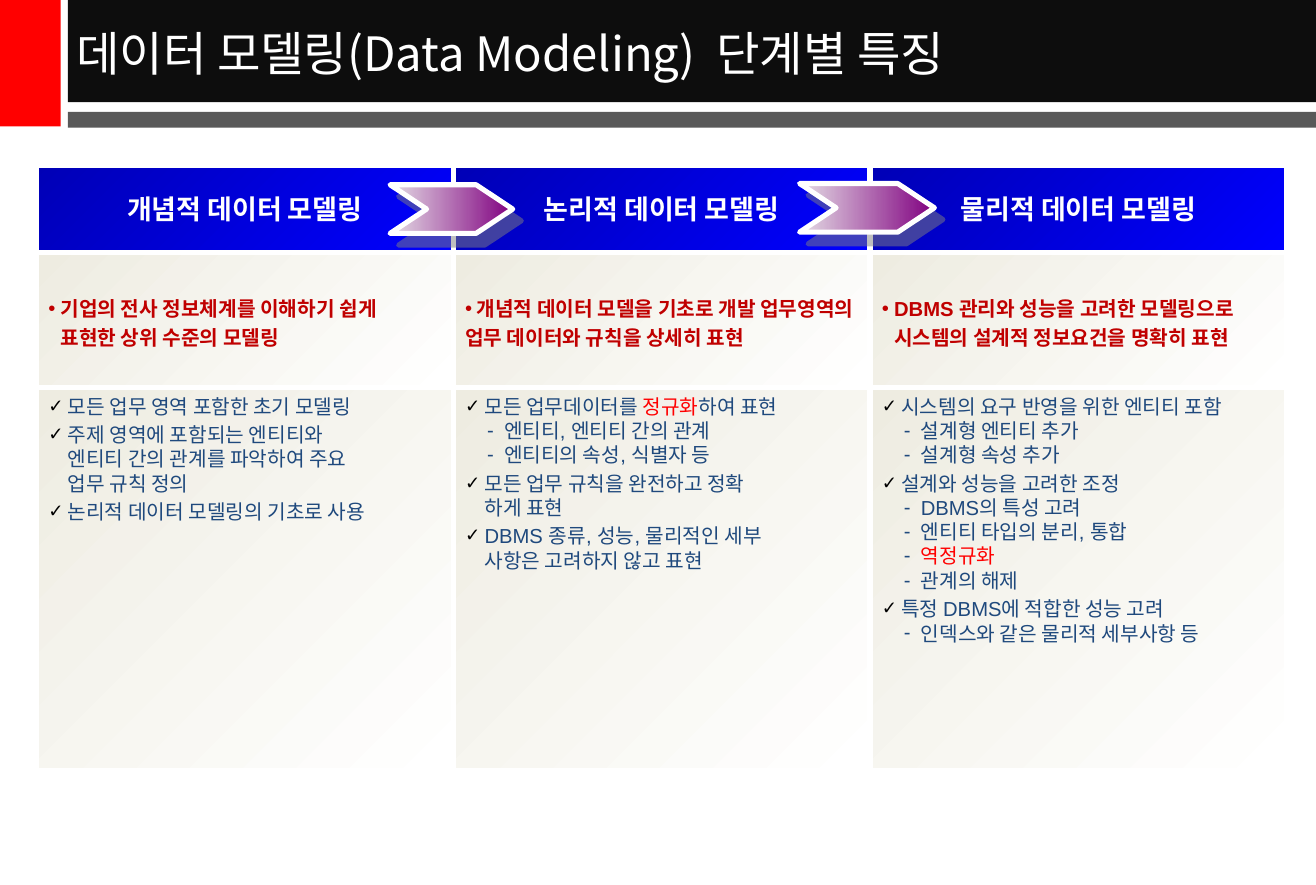
from lxml import etree
from pptx import Presentation
from pptx.dml.color import RGBColor
from pptx.enum.dml import MSO_FILL
from pptx.enum.shapes import MSO_CONNECTOR, MSO_SHAPE
from pptx.enum.text import MSO_ANCHOR, PP_ALIGN
from pptx.oxml.ns import qn
from pptx.util import Inches, Pt

RECTANGLE, CHEVRON = MSO_SHAPE.RECTANGLE, MSO_SHAPE.CHEVRON
STRAIGHT = MSO_CONNECTOR.STRAIGHT
TOP, MIDDLE = MSO_ANCHOR.TOP, MSO_ANCHOR.MIDDLE
LEFT, CENTER = PP_ALIGN.LEFT, PP_ALIGN.CENTER
GRADIENT = MSO_FILL.GRADIENT

WHITE, RED, NAVY, CRIMSON = "FFFFFF", "FF0000", "1F497D", "C00000"
BEIGE_FADE, BLUE_FADE, PURPLE_FADE = ("EEECE1", WHITE), ("0000B6", "0000FF"), ("E5DEE5", "800080")

COLUMN_LEFT, COLUMN_WIDTH = 0.3, 3.43
ROW_EDGES = [1.36, 2.08, 3.19, 6.34]

# Each stage: heading, summary, summary hanging indent, details.
# A detail is a level (0 check mark, 1 dash) and its runs of (text, colour).
STAGES = [
    ("개념적 데이터 모델링",
     "기업의 전사 정보체계를 이해하기 쉽게\n표현한 상위 수준의 모델링", 0.1,
     [(0, [("모든 업무 영역 포함한 초기 모델링", NAVY)]),
      (0, [("주제 영역에 포함되는 엔티티와\n엔티티 간의 관계를 파악하여 주요\n업무 규칙 정의", NAVY)]),
      (0, [("논리적 데이터 모델링의 기초로 사용", NAVY)])]),
    ("논리적 데이터 모델링",
     " 개념적 데이터 모델을 기초로 개발 업무영역의 업무 데이터와 규칙을 상세히 표현", 0,
     [(0, [("모든 업무데이터를 ", NAVY), ("정규화", RED), ("하여 표현", NAVY)]),
      (1, [("엔티티, 엔티티 간의 관계", NAVY)]),
      (1, [("엔티티의 속성, 식별자 등", NAVY)]),
      (0, [("모든 업무 규칙을 완전하고 정확\n하게 표현", NAVY)]),
      (0, [("DBMS 종류, 성능, 물리적인 세부\n사항은 고려하지 않고 표현", NAVY)])]),
    ("물리적 데이터 모델링",
     "DBMS 관리와 성능을 고려한 모델링으로\n시스템의 설계적 정보요건을 명확히 표현", 0.1,
     [(0, [("시스템의 요구 반영을 위한 엔티티 포함", NAVY)]),
      (1, [("설계형 엔티티 추가", NAVY)]),
      (1, [("설계형 속성 추가", NAVY)]),
      (0, [("설계와 성능을 고려한 조정", NAVY)]),
      (1, [("DBMS의 특성 고려", NAVY)]),
      (1, [("엔티티 타입의 분리, 통합", NAVY)]),
      (1, [("역정규화", RED)]),
      (1, [("관계의 해제", NAVY)]),
      (0, [("특정 DBMS에 적합한 성능 고려", NAVY)]),
      (1, [("인덱스와 같은 물리적 세부사항 등", NAVY)])]),
]


def rgb(value):
    return RGBColor.from_string(value)


def add_xml(parent, tag, **attributes):
    return etree.SubElement(parent, qn(tag), attributes)


class SlideBuilder:
    body_font = "Arial"
    title_font = "Noto Sans CJK KR"
    line_width = Pt(3)

    def __init__(self, slide):
        self.slide = slide

    def shape(self, box, fill, angle=0, preset=RECTANGLE):
        """Add a borderless shape; a pair of colours as fill makes a gradient."""
        shape = self.slide.shapes.add_shape(preset, *map(Inches, box))
        shape.shadow.inherit = False
        shape.line.fill.background()
        if isinstance(fill, str):
            shape.fill.solid()
            shape.fill.fore_color.rgb = rgb(fill)
        else:
            shape.fill.gradient()
            shape.fill.gradient_angle = -angle % 360
            for stop, color in zip(shape.fill.gradient_stops, fill):
                stop.color.rgb = rgb(color)
        return shape

    def arrow(self, box):
        arrow = self.shape(box, PURPLE_FADE, preset=CHEVRON)
        arrow.adjustments[0] = 0.753
        arrow.line.color.rgb = rgb(WHITE)
        arrow.line.width = self.line_width
        effects = arrow._element.spPr.find(qn("a:effectLst"))
        shadow = add_xml(effects, "a:outerShdw", dist=str(Pt(8.6)), dir=str(54 * 60000),
                         algn="ctr", rotWithShape="0")
        color = add_xml(shadow, "a:srgbClr", val="808080")
        add_xml(color, "a:alpha", val="50000")

    def line(self, start, end):
        line = self.slide.shapes.add_connector(STRAIGHT, *map(Inches, start + end))
        line.line.color.rgb = rgb(WHITE)
        line.line.width = self.line_width
        add_xml(line._element.spPr, "a:effectLst")

    def frame(self, shape, anchor):
        frame = shape.text_frame
        frame.word_wrap = True
        frame.vertical_anchor = anchor
        return frame

    def paragraph(self, frame, runs, size, bold=False, align=LEFT, font=None):
        """Add a paragraph of (text, colour) runs, using the empty first one if free."""
        paragraph = frame.paragraphs[0]
        if paragraph.runs:
            paragraph = frame.add_paragraph()
        paragraph.alignment = align
        for text, color in runs:
            for index, piece in enumerate(text.split("\n")):
                if index:
                    paragraph.add_line_break()
                run = paragraph.add_run()
                run.text = piece
                run.font.name = font or self.body_font
                run.font.size = Pt(size)
                run.font.bold = bold
                run.font.color.rgb = rgb(color)
        return paragraph

    def bullet(self, paragraph, mark, color, left, hanging, percent=100):
        properties = paragraph._p.get_or_add_pPr()
        properties.set("marL", str(Inches(left)))
        properties.set("indent", str(-Inches(hanging)))
        add_xml(add_xml(properties, "a:buClr"), "a:srgbClr", val=color)
        add_xml(properties, "a:buSzPct", val=str(percent * 1000))
        add_xml(properties, "a:buFont", typeface=self.body_font)
        add_xml(properties, "a:buChar", char=mark)

    def title(self, box, text):
        title = self.slide.shapes.add_textbox(*map(Inches, box))
        self.paragraph(self.frame(title, MIDDLE), [(text, WHITE)], 28, font=self.title_font)

    def heading_cell(self, box, text):
        frame = self.frame(self.shape(box, BLUE_FADE, 45), MIDDLE)
        paragraph = self.paragraph(frame, [(text, WHITE)], 16, True, CENTER)
        paragraph.space_before = Pt(3.2)

    def summary_cell(self, box, text, hanging):
        frame = self.frame(self.shape(box, BEIGE_FADE, 45), MIDDLE)
        paragraph = self.paragraph(frame, [(text, CRIMSON)], 12, True)
        paragraph.line_spacing = 1.2
        self.bullet(paragraph, "•", CRIMSON, hanging, hanging)

    def detail_cell(self, box, details):
        frame = self.frame(self.shape(box, BEIGE_FADE, 45), TOP)
        for level, runs in details:
            paragraph = self.paragraph(frame, runs, 12)
            if level:
                paragraph.space_before = Pt(0)
                self.bullet(paragraph, "-", NAVY, 0.32, 0.14)
            else:
                paragraph.space_before = Pt(2.4)
                self.bullet(paragraph, "✓", "000000", 0.16, 0.16, 90)


def main():
    presentation = Presentation()
    presentation.slide_width, presentation.slide_height = Inches(10.83), Inches(7.28)
    builder = SlideBuilder(presentation.slides.add_slide(presentation.slide_layouts[6]))

    builder.shape((0, 0, 0.5, 1.04), RED)
    builder.shape((0.56, 0, 10.27, 0.84), "0D0D0D")
    builder.shape((0.56, 0.92, 10.27, 0.13), "595959")

    column_edges = [COLUMN_LEFT + COLUMN_WIDTH * index for index in range(len(STAGES) + 1)]
    row_spans = [(top, bottom - top) for top, bottom in zip(ROW_EDGES, ROW_EDGES[1:])]
    for left, (heading, summary, hanging, details) in zip(column_edges, STAGES):
        heading_box, summary_box, detail_box = [
            (left, top, COLUMN_WIDTH, height) for top, height in row_spans]
        builder.heading_cell(heading_box, heading)
        builder.summary_cell(summary_box, summary, hanging)
        builder.detail_cell(detail_box, details)

    for y in ROW_EDGES:
        builder.line((column_edges[0], y), (column_edges[-1], y))
    for x in column_edges:
        builder.line((x, ROW_EDGES[0]), (x, ROW_EDGES[-1]))

    builder.arrow((3.21, 1.52, 1.01, 0.4))
    builder.arrow((6.58, 1.51, 1.11, 0.4))
    builder.title((0.53, 0.02, 10.3, 0.82), "데이터 모델링(Data Modeling)  단계별 특징")
    presentation.save("out.pptx")


if __name__ == "__main__":
    main()
